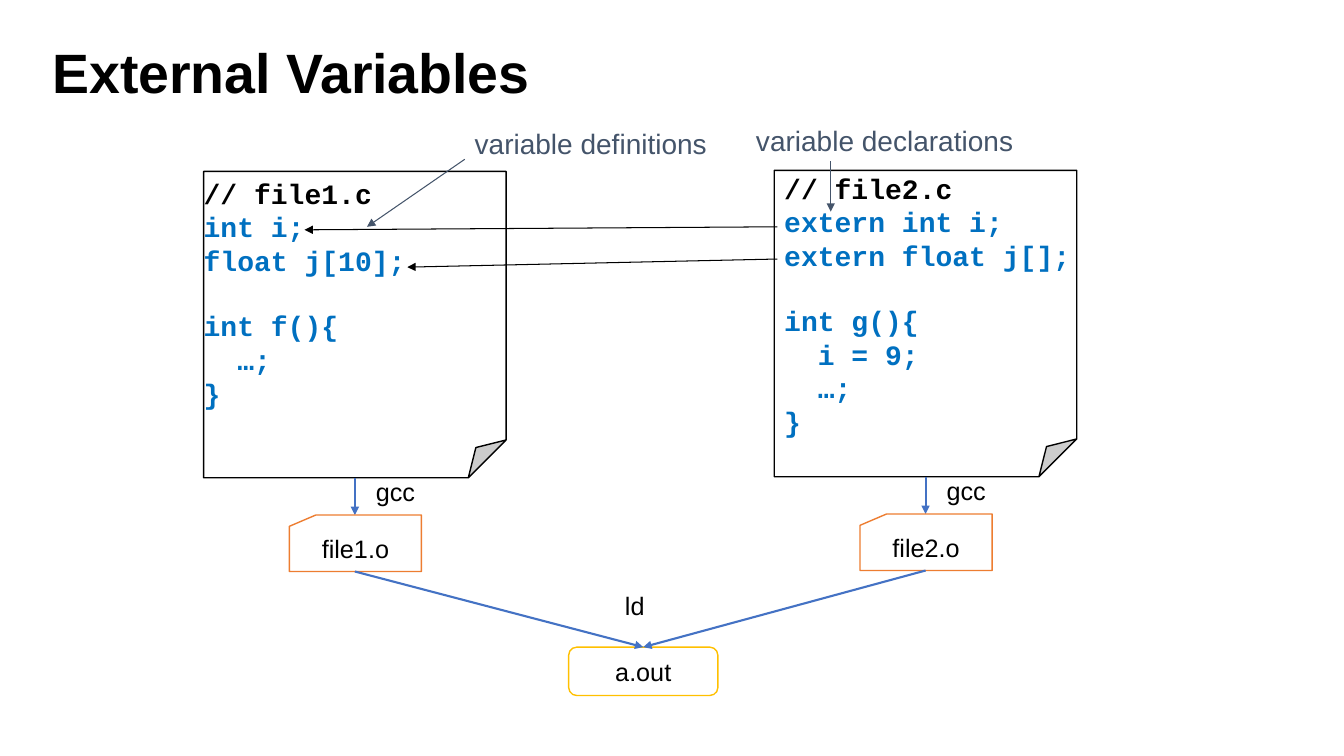
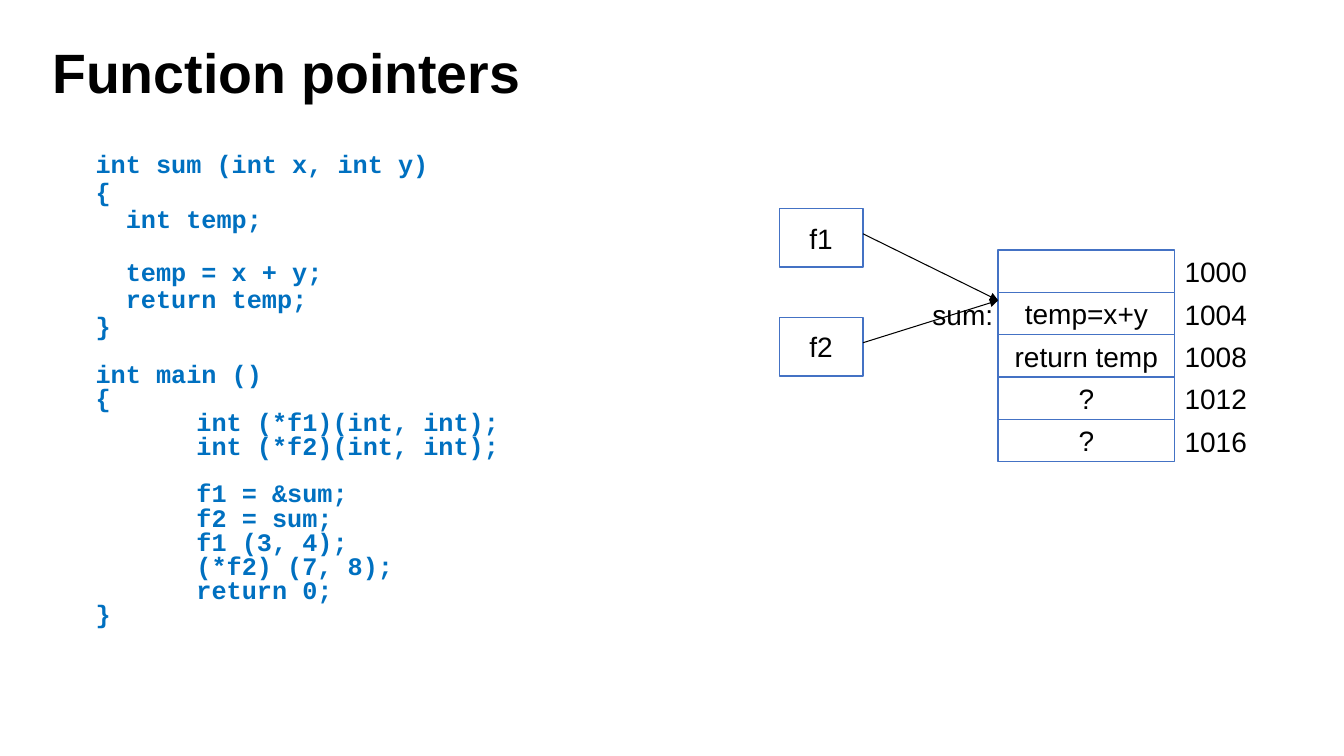
from lxml.etree import SubElement
from pptx import Presentation
from pptx.dml.color import RGBColor
from pptx.enum.shapes import MSO_CONNECTOR, MSO_SHAPE
from pptx.enum.text import MSO_ANCHOR, MSO_AUTO_SIZE, PP_ALIGN
from pptx.oxml.ns import qn
from pptx.util import Inches, Pt

BLACK, WHITE, SLATE = "000000", "FFFFFF", "44546A"
BLUE, ORANGE, GOLD, CODE_BLUE = "4472C4", "ED7D31", "FFC000", "0070C0"
SANS, MONO = "Arial", "Courier New"
CHAR_WIDTH, LINE_HEIGHT = 0.6, 1.133  # Courier New, relative to the font size
TAB = 72  # points

FILE1 = """// file1.c
int i;
float j[10];

int f(){
  …;
}"""

FILE2 = """// file2.c
extern int i;
extern float j[];

int g(){
  i = 9;
  …;
}"""

SUM_CODE = """int sum (int x, int y)
{
  int temp;

  temp = x + y;
  return temp;
}
"""

MAIN_CODE = """
int main ()
{
\tint (*f1)(int, int);
\tint (*f2)(int, int);

\tf1 = &sum;
\tf2 = sum;
\tf1 (3, 4);
\t(*f2) (7, 8);
\treturn 0;
}"""


def color(value):
    """Turn a hex string into a colour."""
    return RGBColor.from_string(value)


def style(para, size, shade=BLACK, font=SANS, bold=False):
    """Format every run of a paragraph."""
    for span in para.runs:
        span.font.name = font
        span.font.size = Pt(size)
        span.font.bold = bold
        span.font.color.rgb = color(shade)


def add_label(page, text, left, top, width, height, size, shade=BLACK, bold=False):
    """Add a one-line text box and return it."""
    box = page.shapes.add_textbox(Inches(left), Inches(top), Inches(width), Inches(height))
    frame = box.text_frame
    frame.text = text
    frame.word_wrap = True
    style(frame.paragraphs[0], size, shade, bold=bold)
    return box


def add_box(page, kind, left, top, width, height, line, text="", size=20):
    """Add a white outlined shape with centred text."""
    box = page.shapes.add_shape(kind, Inches(left), Inches(top), Inches(width), Inches(height))
    box.shadow.inherit = False
    box.fill.solid()
    box.fill.fore_color.rgb = color(WHITE)
    box.line.color.rgb = color(line)
    box.line.width = Pt(1)
    frame = box.text_frame
    frame.text = text
    frame.word_wrap = False
    frame.vertical_anchor = MSO_ANCHOR.MIDDLE
    frame.paragraphs[0].alignment = PP_ALIGN.CENTER
    style(frame.paragraphs[0], size)
    return box


def add_arrow(page, start, end, shade=BLACK, width=0.75):
    """Draw a straight arrow from start to end."""
    points = [Inches(value) for value in (*start, *end)]
    arrow = page.shapes.add_connector(MSO_CONNECTOR.STRAIGHT, *points)
    arrow.line.color.rgb = color(shade)
    arrow.line.width = Pt(width)
    line = arrow._element.spPr.find(qn("a:ln"))
    SubElement(line, qn("a:tailEnd"), type="triangle")
    SubElement(arrow._element.spPr, qn("a:effectLst"))


def write_code(frame, parts, size):
    """Write (code, line spacing) parts; empty lines and indents become spacing."""
    para, gap = None, 0
    for code, spacing in parts:
        for line in code.splitlines():
            if not line:
                gap = size * LINE_HEIGHT * spacing
                continue
            para = frame.add_paragraph() if para is not None else frame.paragraphs[0]
            para.text = line.strip()
            para.alignment = PP_ALIGN.LEFT
            para.line_spacing = spacing
            para.space_before = Pt(gap)
            spaces = len(line) - len(line.lstrip(" "))
            indent = spaces * CHAR_WIDTH * size + line.count("\t") * TAB
            para._p.get_or_add_pPr().set("marL", str(Pt(indent)))
            shade = BLACK if line.startswith("//") else CODE_BLUE
            style(para, size, shade, MONO, bold=True)
            gap = 0


def add_page(deck, title):
    """Add a blank slide with the shared title."""
    page = deck.slides.add_slide(deck.slide_layouts[6])
    box = add_label(page, title, 0.42, 0.39, 9.49, 0.72, 39.6, bold=True)
    box.text_frame.vertical_anchor = MSO_ANCHOR.MIDDLE
    box.text_frame.paragraphs[0].line_spacing = 0.9
    return page


def add_source_file(page, left, top, code, object_name, margin, anchor):
    """Place a source sheet with its object file; return the object's bottom centre."""
    center, bottom, card_top = left + 1.5, top + 3.04, top + 3.41
    sheet = add_box(page, MSO_SHAPE.FOLDED_CORNER, left, top, 3, 3.04, BLACK)
    fold = sheet._element.spPr.find(qn("a:prstGeom")).get_or_add_avLst()
    for guide in list(fold):
        fold.remove(guide)
    SubElement(fold, qn("a:gd"), name="adj", fmla="val 12500")
    sheet.text_frame.margin_left = Inches(margin)
    sheet.text_frame.vertical_anchor = anchor
    write_code(sheet.text_frame, [(code, 1.0)], 20)
    add_arrow(page, (center, bottom), (center, card_top), BLUE, 1.5)
    add_box(page, MSO_SHAPE.FLOWCHART_CARD, center - 0.65, card_top, 1.31, 0.56,
            ORANGE, object_name, 18)
    add_label(page, "gcc", center + 0.11, bottom - 0.06, 0.64, 0.4, 18)
    return center, card_top + 0.56


def add_callout(page, text, left, top, width, start, end):
    """Add a slate label with its arrow."""
    add_label(page, text, left, top, width, 0.43, 20, SLATE)
    add_arrow(page, start, end, SLATE)


def add_memory(page, left, top, rows):
    """Stack memory cells with their addresses on the right."""
    width, height = 1.75, 0.42
    for index, (text, address) in enumerate(rows):
        row_top = top + index * height
        add_box(page, MSO_SHAPE.RECTANGLE, left, row_top, width, height, BLUE, text)
        add_label(page, address, left + width, row_top, 0.83, 0.43, 20)
    add_label(page, "sum:", left - 0.75, top + height, 0.83, 0.43, 20)


def add_pointer(page, name, left, top, target):
    """Add a pointer box with an arrow to its target."""
    add_box(page, MSO_SHAPE.RECTANGLE, left, top, 0.83, 0.58, BLUE, name)
    add_arrow(page, (left + 0.83, top + 0.25), target)


def build_external_variables(deck):
    """Build the slide on linking two source files."""
    page = add_page(deck, "External Variables")
    objects = [
        add_source_file(page, 2.02, 1.7, FILE1, "file1.o", 0, MSO_ANCHOR.TOP),
        add_source_file(page, 7.68, 1.69, FILE2, "file2.o", 0.1, MSO_ANCHOR.MIDDLE),
    ]
    add_arrow(page, (7.71, 2.25), (3.02, 2.28))
    add_arrow(page, (7.71, 2.57), (4.04, 2.65))
    add_callout(page, "variable definitions", 4.61, 1.21, 3.36, (4.61, 1.58), (3.64, 2.25))
    add_callout(page, "variable declarations", 7.4, 1.18, 3.17, (8.24, 1.6), (8.24, 2.1))
    add_box(page, MSO_SHAPE.ROUNDED_RECTANGLE, 5.64, 6.42, 1.48, 0.48, GOLD, "a.out", 18)
    for start in objects:
        add_arrow(page, start, (6.38, 6.42), BLUE, 1.5)
    add_label(page, "ld", 6.1, 5.81, 0.64, 0.4, 18)


def build_function_pointers(deck):
    """Build the slide on pointers to a function."""
    page = add_page(deck, "Function pointers")
    listing = page.shapes.add_textbox(Inches(0.85), Inches(1.46), Inches(6.67), Inches(4.96))
    listing.text_frame.word_wrap = True
    listing.text_frame.auto_size = MSO_AUTO_SIZE.SHAPE_TO_FIT_TEXT
    write_code(listing.text_frame, [(SUM_CODE, 0.9), (MAIN_CODE, 0.8)], 18)
    cells = ["", "temp=x+y", "return temp", "?", "?"]
    add_memory(page, 9.9, 2.48,
               [(text, str(1000 + 4 * index)) for index, text in enumerate(cells)])
    for name, top in (("f1", 2.07), ("f2", 3.15)):
        add_pointer(page, name, 7.73, top, (9.9, 2.98))


def main():
    """Build and save the deck."""
    deck = Presentation()
    deck.slide_width, deck.slide_height = Inches(13.33), Inches(7.5)
    build_external_variables(deck)
    build_function_pointers(deck)
    deck.save("out.pptx")


main()
